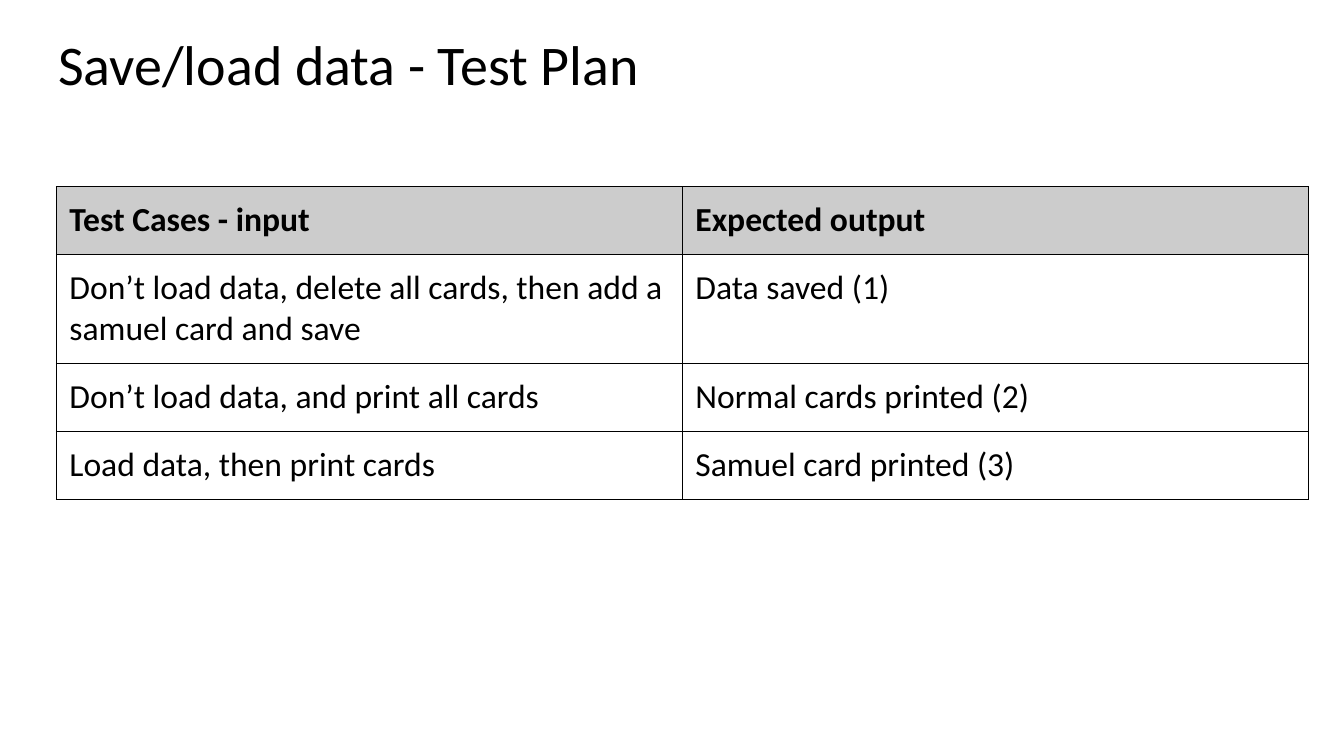
import pptx
import pptx.util
import pptx.dml.color
import pptx.enum.text
import lxml.etree

Cm = pptx.util.Cm
Pt = pptx.util.Pt
RGB = pptx.dml.color.RGBColor.from_string

TITLE = "Save/load data - Test Plan"
ROWS = [
    ("Test Cases - input", "Expected output"),
    ("Don’t load data, delete all cards, then add a samuel card and save", "Data saved (1)"),
    ("Don’t load data, and print all cards", "Normal cards printed (2)"),
    ("Load data, then print cards", "Samuel card printed (3)"),
]
THEME = {
    "font": "Calibri",
    "ink": "000000",
    "head": "CCCCCC",
    "title": 40,
    "body": 24,
    "line": 0.75,
}
INSET = Cm(0.33)
WIDTH = 31.55
LINE, TALL = 1.71, 2.75
HEIGHTS = [LINE, TALL, LINE, LINE]


def style(para, size, bold=False):
    for run in para.runs:
        run.font.name = THEME["font"]
        run.font.size = Pt(size)
        run.font.bold = bold
        run.font.color.rgb = RGB(THEME["ink"])


def pad(box):
    box.margin_left = box.margin_right = INSET
    box.margin_top = box.margin_bottom = INSET


def border(cell):
    ns = "http://schemas.openxmlformats.org/drawingml/2006/main"
    props = cell._tc.get_or_add_tcPr()
    for spot, side in enumerate(("lnL", "lnR", "lnT", "lnB")):
        line = lxml.etree.Element(f"{{{ns}}}{side}", w=str(Pt(THEME["line"])))
        fill = lxml.etree.SubElement(line, f"{{{ns}}}solidFill")
        lxml.etree.SubElement(fill, f"{{{ns}}}srgbClr", val=THEME["ink"])
        props.insert(spot, line)


def add_title(slide):
    box = slide.shapes.add_textbox(Cm(1.14), Cm(0.61), Cm(WIDTH), Cm(2.13))
    frame = box.text_frame
    frame.word_wrap = True
    frame.vertical_anchor = pptx.enum.text.MSO_ANCHOR.TOP
    pad(frame)
    frame.text = TITLE
    para = frame.paragraphs[0]
    para.line_spacing = 0.9
    style(para, THEME["title"])


def add_grid(slide):
    count = len(ROWS[0])
    frame = slide.shapes.add_table(
        len(ROWS), count, Cm(1.42), Cm(4.7), Cm(WIDTH), Cm(sum(HEIGHTS)))
    table = frame.table
    table.horz_banding = False
    for col in table.columns:
        col.width = Cm(WIDTH / count)
    for r, texts in enumerate(ROWS):
        table.rows[r].height = Cm(HEIGHTS[r])
        for c, text in enumerate(texts):
            cell = table.cell(r, c)
            pad(cell)
            cell.text_frame.text = text
            style(cell.text_frame.paragraphs[0], THEME["body"], r == 0)
            if r == 0:
                cell.fill.solid()
                cell.fill.fore_color.rgb = RGB(THEME["head"])
            else:
                cell.fill.background()
            border(cell)


def main():
    deck = pptx.Presentation()
    deck.slide_width, deck.slide_height = Cm(33.87), Cm(19.05)
    slide = deck.slides.add_slide(deck.slide_layouts[6])
    add_title(slide)
    add_grid(slide)
    deck.save("out.pptx")


if __name__ == "__main__":
    main()
